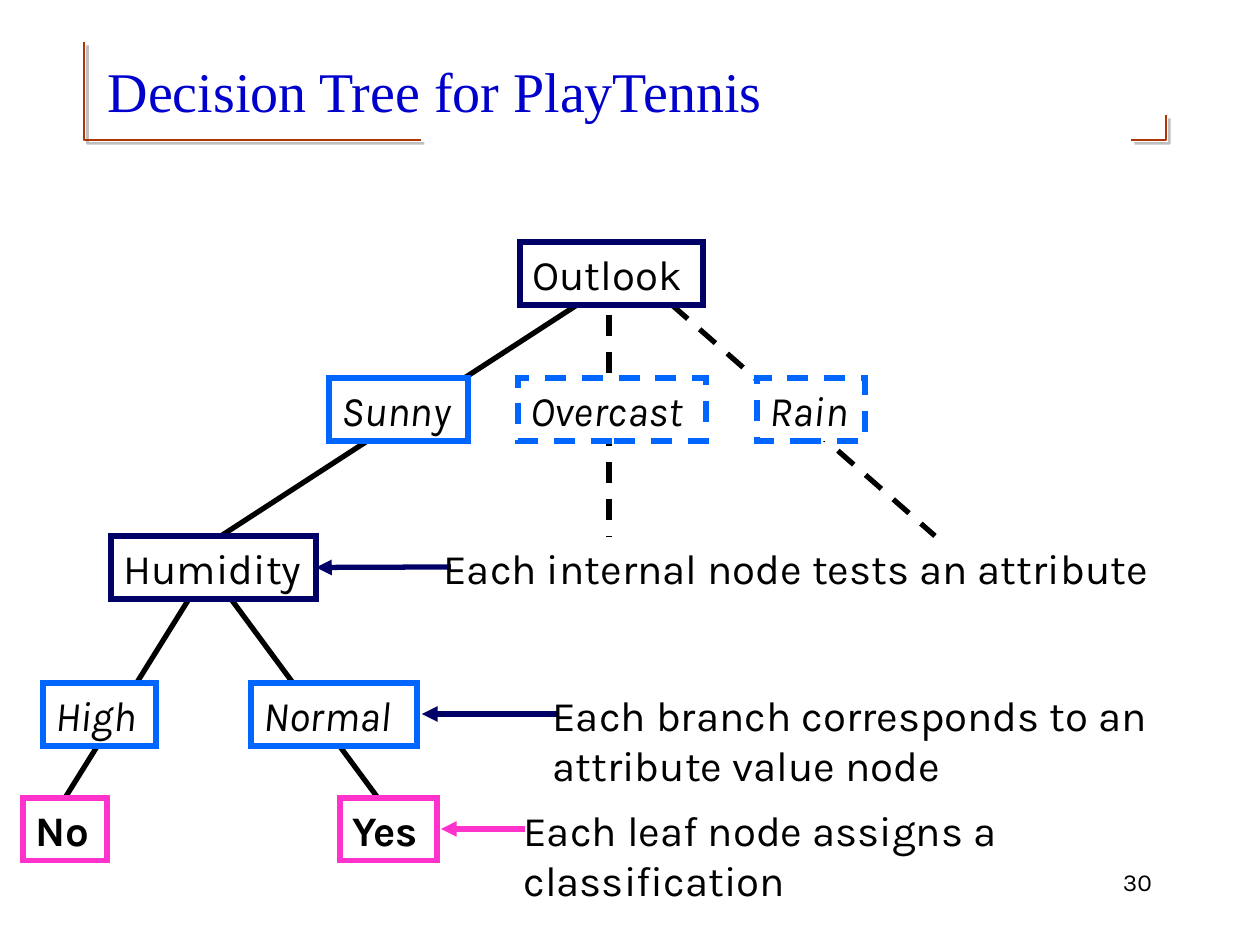
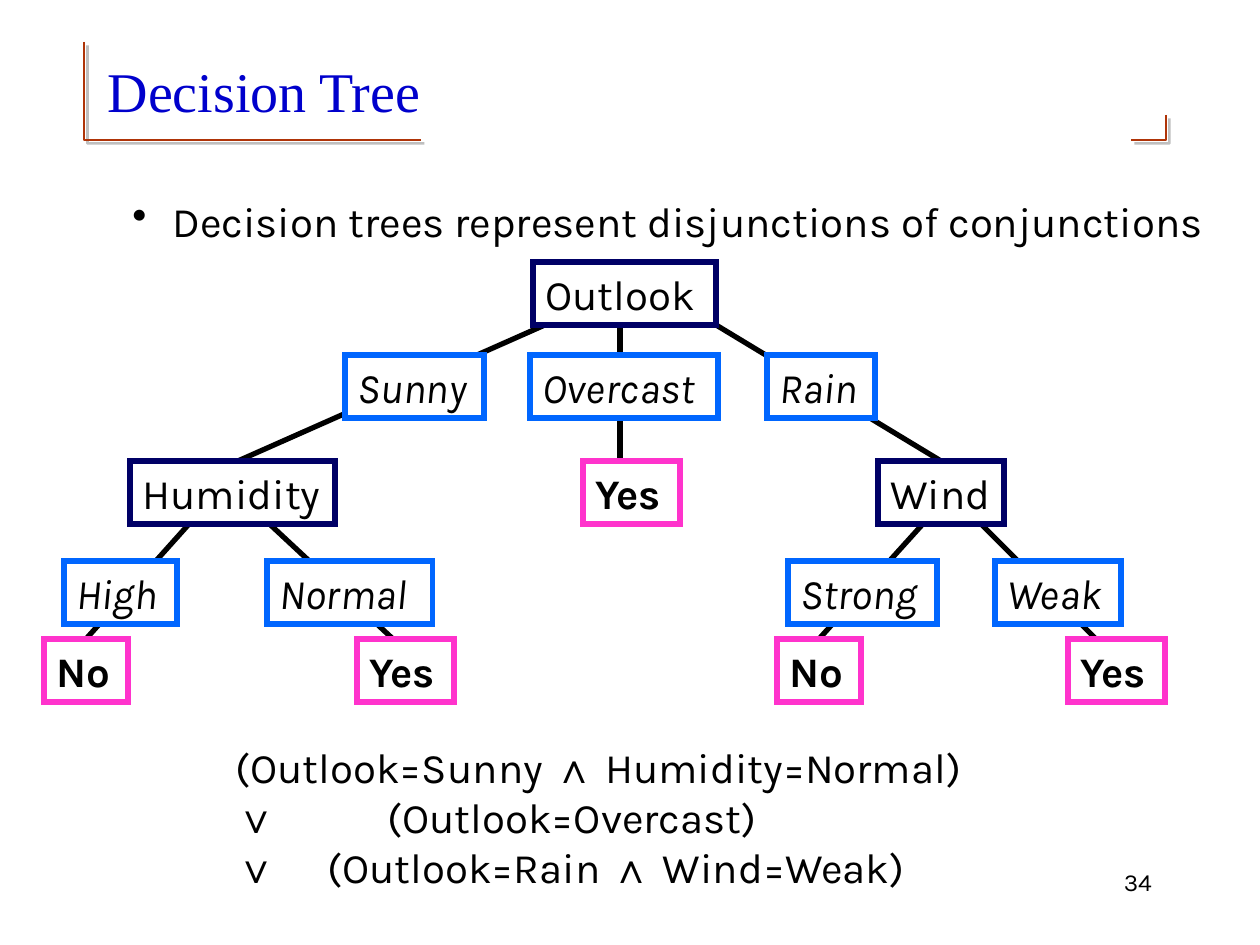
"""Build two decision tree slides with a shared frame, title style and page number."""
import itertools

import lxml.etree
import pptx
import pptx.dml.color
import pptx.enum.dml
import pptx.enum.shapes
import pptx.enum.text
import pptx.oxml.ns
import pptx.util

PX = 7257
BLACK, NAVY, BLUE, PINK = "000000", "000066", "0066FF", "FF33CC"
BOX_H = 63
KINDS = {
    NAVY: {"Outlook": 183, "Humidity": 205, "Wind": 126},
    BLUE: {"Sunny": 139, "Overcast": 188, "Rain": 108, "High": 113,
           "Normal": 166, "Strong": 149, "Weak": 126},
    PINK: {"No": 84, "Yes": 97},
}
TOP, RIGHT = 0, 3
DASH = pptx.enum.dml.MSO_LINE.DASH
LEFT_ALIGN = pptx.enum.text.PP_ALIGN.LEFT
RIGHT_ALIGN = pptx.enum.text.PP_ALIGN.RIGHT
qn = pptx.oxml.ns.qn


def rgb(value):
    return pptx.dml.color.RGBColor.from_string(value)


def write(sp, lines, size=24, color=BLACK, font="Karla", bold=None, italic=None, align=LEFT_ALIGN):
    tf = sp.text_frame
    tf.word_wrap = True
    tf.margin_right = 0
    for i, line in enumerate(lines):
        p = tf.add_paragraph() if i else tf.paragraphs[0]
        p.alignment = align
        for is_symbol, chars in itertools.groupby(line, lambda c: c in "∧∨"):
            r = p.add_run()
            r.text = "".join(chars)
            r.font.name = "Arial" if is_symbol else font
            r.font.size = pptx.util.Pt(size)
            r.font.bold, r.font.italic = bold, italic
            r.font.color.rgb = rgb(color)
    return tf


slides = [
    {
        "title": "Decision Tree for PlayTennis",
        "number": "30",
        "nodes": [
            ("Outlook", 520, 242), ("Sunny", 329, 378), ("Overcast", 518, 378), ("Rain", 757, 378),
            ("Humidity", 111, 536), ("High", 43, 683), ("Normal", 251, 683),
            ("No", 23, 798), ("Yes", 340, 798),
        ],
        "dashed": ("Overcast", "Rain"),
        "edges": [
            (577, 305, 221, 536, None, None), (672, 305, 935, 536, DASH, None),
            (189, 599, 63, 798, None, 7), (231, 599, 378, 798, None, None),
            (609, 315, 609, 536, DASH, None),
        ],
        "arrows": [(451, 315, 567, NAVY, 4), (559, 422, 714, NAVY, None), (525, 441, 829, PINK, None)],
        "texts": [
            (431, 536, 743, 63, ["Each internal node tests an attribute"]),
            (540, 683, 638, 113, ["Each branch corresponds to an", "attribute value node"]),
            (511, 798, 740, 113, ["Each leaf node assigns a classification"]),
        ],
    },
    {
        "title": "Decision Tree",
        "number": "34",
        "nodes": [
            ("Outlook", 533, 262), ("Sunny", 345, 355), ("Overcast", 530, 355), ("Rain", 767, 355),
            ("Humidity", 130, 461), ("Yes", 583, 461), ("Wind", 878, 461),
            ("High", 64, 561), ("Normal", 267, 561), ("Strong", 788, 561), ("Weak", 995, 561),
            ("No", 44, 639), ("Yes", 357, 639), ("No", 777, 639), ("Yes", 1068, 639),
        ],
        "dashed": (),
        "edges": [
            (590, 305, 238, 461, None, None), (683, 305, 941, 461, None, 6),
            (207, 504, 83, 639, None, 11), (248, 504, 393, 639, None, None),
            (961, 504, 1096, 639, None, None), (941, 504, 816, 639, None, 13),
            (620, 312, 620, 461, None, None),
        ],
        "arrows": [],
        "texts": [],
    },
]

prs = pptx.Presentation()
prs.slide_width, prs.slide_height = 1260 * PX, 945 * PX
layout = prs.slide_layouts[5]

for data in slides:
    s = prs.slides.add_slide(layout)
    title = s.shapes.title
    title.left, title.top, title.width, title.height = 95 * PX, 32 * PX, 1071 * PX, 116 * PX
    tf = write(title, [data["title"]], 32, "0000CC", "Times New Roman")
    tf.vertical_anchor = pptx.enum.text.MSO_ANCHOR.MIDDLE

    links = [(*edge[:4], BLACK, edge[4], edge[5], TOP) for edge in data["edges"]]
    links += [(x1, y, x2, y, color, None, target, RIGHT) for x1, x2, y, color, target in data["arrows"]]
    joins = []
    for x1, y1, x2, y2, color, dash, target, side in links:
        line = s.shapes.add_connector(pptx.enum.shapes.MSO_CONNECTOR.STRAIGHT,
                                      x1 * PX, y1 * PX, x2 * PX, y2 * PX)
        line.line.color.rgb = rgb(color)
        line.line.width = pptx.util.Pt(3)
        if dash:
            line.line.dash_style = dash
        if side == RIGHT:
            lxml.etree.SubElement(line.line._get_or_add_ln(), qn("a:tailEnd"), type="triangle")
        lxml.etree.SubElement(line.element.spPr, qn("a:effectLst"))
        if target is not None:
            joins.append((line, target, side))

    boxes = []
    for label, x, y in data["nodes"]:
        color = next(c for c, widths in KINDS.items() if label in widths)
        sp = s.shapes.add_shape(pptx.enum.shapes.MSO_SHAPE.RECTANGLE,
                                x * PX, y * PX, KINDS[color][label] * PX, BOX_H * PX)
        sp.shadow.inherit = False
        sp.fill.solid()
        sp.fill.fore_color.rgb = rgb("FFFFFF")
        sp.line.color.rgb = rgb(color)
        sp.line.width = pptx.util.Pt(3)
        if label in data["dashed"]:
            sp.line.dash_style = DASH
        lxml.etree.SubElement(sp.line._get_or_add_ln(), qn("a:miter"), lim="800000")
        tf = write(sp, [label], bold=color == PINK, italic=color == BLUE)
        tf.vertical_anchor = pptx.enum.text.MSO_ANCHOR.TOP
        boxes.append(sp)
    for line, target, side in joins:
        line.end_connect(boxes[target], side)

    for x, y, w, h, lines in data["texts"]:
        write(s.shapes.add_textbox(x * PX, y * PX, w * PX, h * PX), lines)
    number = s.shapes.add_textbox(903 * PX, 861 * PX, 249 * PX, 63 * PX)
    write(number, [data["number"]], 14, align=RIGHT_ALIGN)

bullet = s.shapes.add_textbox(120 * PX, 189 * PX, 1095 * PX, 63 * PX)
tf = write(bullet, ["Decision trees represent disjunctions of conjunctions"])
pPr = tf.paragraphs[0]._p.get_or_add_pPr()
pPr.set("marL", str(40 * PX))
pPr.set("indent", str(-40 * PX))
lxml.etree.SubElement(pPr, qn("a:buChar"), char="•")

formula = s.shapes.add_textbox(223 * PX, 735 * PX, 754 * PX, 164 * PX)
tf = write(formula, ["(Outlook=Sunny ∧ Humidity=Normal)",
                     "∨\t(Outlook=Overcast)",
                     "∨\t(Outlook=Rain ∧ Wind=Weak)"])
for p, stop in zip(tf.paragraphs[1:], (152, 92)):
    tabs = lxml.etree.SubElement(p._p.get_or_add_pPr(), qn("a:tabLst"))
    lxml.etree.SubElement(tabs, qn("a:tab"), pos=str(stop * PX), algn="l")

for start, *points in [[(84, 42), (84, 140), (421, 140)], [(1166, 115), (1166, 140), (1131, 140)]]:
    fb = s.shapes.build_freeform(*start, scale=PX)
    fb.add_line_segments(points, close=False)
    corner = fb.convert_to_shape()
    corner.fill.background()
    corner.line.color.rgb = rgb("AF3408")
    corner.line.width = pptx.util.Pt(1.5)
    effects = lxml.etree.SubElement(corner.element.spPr, qn("a:effectLst"))
    shadow = lxml.etree.SubElement(effects, qn("a:outerShdw"), dist="35560", dir="2700000")
    shade = lxml.etree.SubElement(shadow, qn("a:srgbClr"), val="808080")
    lxml.etree.SubElement(shade, qn("a:alpha"), val="50000")
    layout.shapes.element.append(corner.element)

prs.save("out.pptx")
